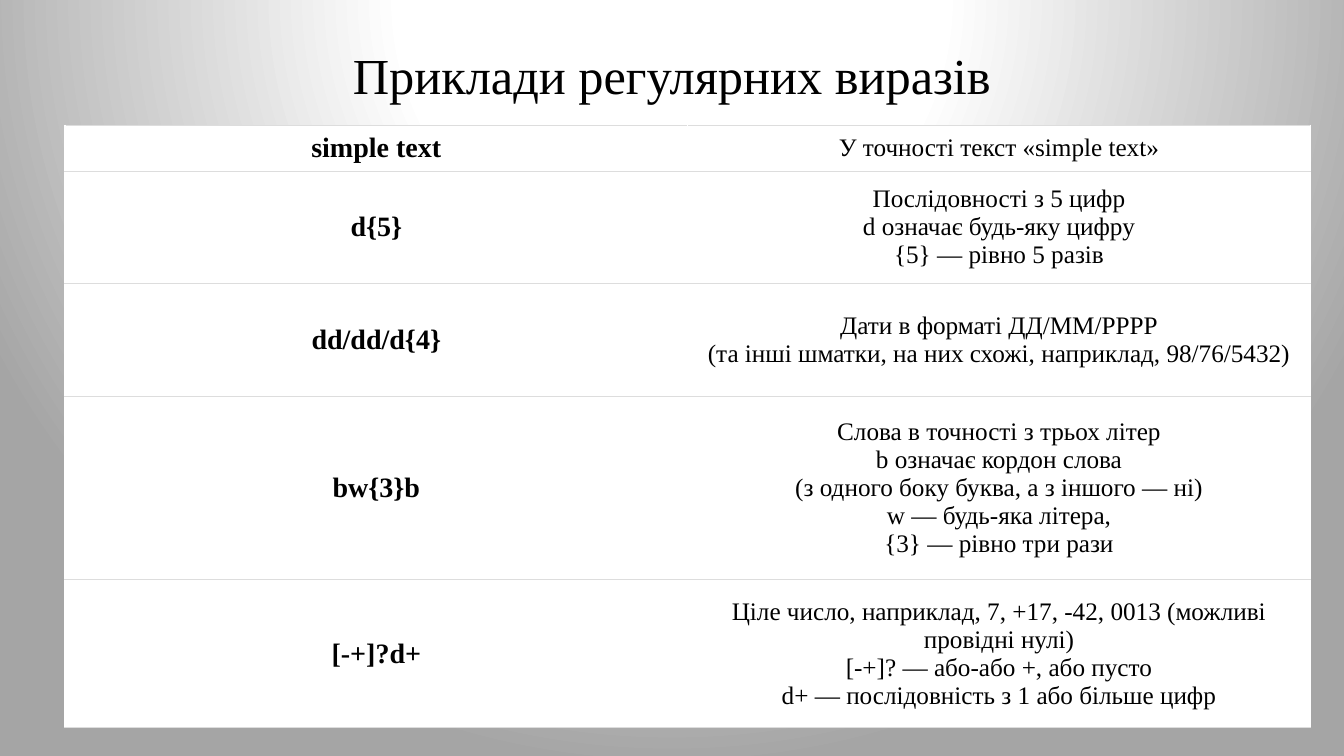
from pptx import Presentation
from pptx.dml.color import RGBColor
from pptx.enum.text import MSO_ANCHOR, PP_ALIGN
from pptx.oxml import parse_xml
from pptx.oxml.ns import nsdecls
from pptx.util import Pt

PX = 9525
BLACK = RGBColor(0, 0, 0)
WHITE = RGBColor(255, 255, 255)
GRAY = RGBColor(165, 165, 165)
RULE = RGBColor(221, 221, 221)
FONT = "Times New Roman"

ROWS = [
    (44, "simple text", "У точності текст «simple text»"),
    (107, "d{5}",
     "Послідовності з 5 цифр\nd означає будь-яку цифру\n{5} — рівно 5 разів"),
    (107, "dd/dd/d{4}",
     "Дати в форматі ДД/ММ/РРРР\n"
     "(та інші шматки, на них схожі, наприклад, 98/76/5432)"),
    (175, "bw{3}b",
     "Слова в точності з трьох літер\nb означає кордон слова\n"
     "(з одного боку буква, а з іншого — ні)\n"
     "w — будь-яка літера,\n{3} — рівно три рази"),
    (141, "[-+]?d+",
     "Ціле число, наприклад, 7, +17, -42, 0013 (можливі провідні нулі)\n"
     "[-+]? — або-або +, або пусто\n"
     "d+ — послідовність з 1 або більше цифр"),
]


def write(frame, text, size=18, bold=False, color=BLACK, space=None):
    frame.word_wrap = True
    para = frame.paragraphs[0]
    para.text = text
    para.alignment = PP_ALIGN.CENTER
    para.line_spacing = space
    for run in para.runs:
        font = run.font
        font.name, font.size, font.bold = FONT, Pt(size), bold
        font.color.rgb = color


class Deck:
    def __init__(self, wide, high):
        self.prs = Presentation()
        self.prs.slide_width, self.prs.slide_height = wide * PX, high * PX
        self.slide = self.prs.slides.add_slide(self.prs.slide_layouts[6])

    def glow(self, stops):
        marks = "".join(
            f'<a:gs pos="{pos * 1000}"><a:srgbClr val="{color}"/></a:gs>'
            for pos, color in stops)
        back = parse_xml(
            f'<p:bg {nsdecls("p", "a")}><p:bgPr><a:gradFill rotWithShape="1">'
            f'<a:gsLst>{marks}</a:gsLst><a:path path="circle">'
            '<a:fillToRect l="50000" t="-80000" r="50000" b="180000"/>'
            '</a:path></a:gradFill><a:effectLst/></p:bgPr></p:bg>')
        self.slide.element.cSld.insert(0, back)

    def title(self, text, left, top, wide, high):
        box = self.slide.shapes.add_textbox(
            left * PX, top * PX, wide * PX, high * PX)
        box.text_frame.vertical_anchor = MSO_ANCHOR.MIDDLE
        write(box.text_frame, text, size=36, space=0.9)

    def edge(self, cell):
        props = cell._tc.get_or_add_tcPr()
        for spot, side in enumerate(("lnT", "lnB")):
            props.insert(spot, parse_xml(
                f'<a:{side} {nsdecls("a")} w="{Pt(0.6)}"><a:solidFill>'
                f'<a:srgbClr val="{RULE}"/></a:solidFill></a:{side}>'))

    def cell(self, cell, text, **style):
        cell.fill.solid()
        cell.fill.fore_color.rgb = WHITE
        cell.vertical_anchor = MSO_ANCHOR.MIDDLE
        cell.margin_left = cell.margin_right = 3 * PX
        cell.margin_top = cell.margin_bottom = 3 * PX
        write(cell.text_frame, text, **style)
        self.edge(cell)

    def table(self, rows, left, top, wide):
        high = sum(row[0] for row in rows)
        table = self.slide.shapes.add_table(
            len(rows), 2, left * PX, top * PX, wide * PX, high * PX).table
        table.first_row = table.horz_banding = False
        for num, (tall, code, note) in enumerate(rows):
            table.rows[num].height = tall * PX
            self.cell(table.cell(num, 0), code, size=20, bold=True)
            self.cell(table.cell(num, 1), note)


def main():
    deck = Deck(1280, 720)
    deck.glow([(0, WHITE), (35, WHITE), (100, GRAY)])
    deck.title("Приклади регулярних виразів", 88, 38, 1104, 72)
    deck.table(ROWS, 62, 119, 1186)
    deck.prs.save("out.pptx")


if __name__ == "__main__":
    main()
